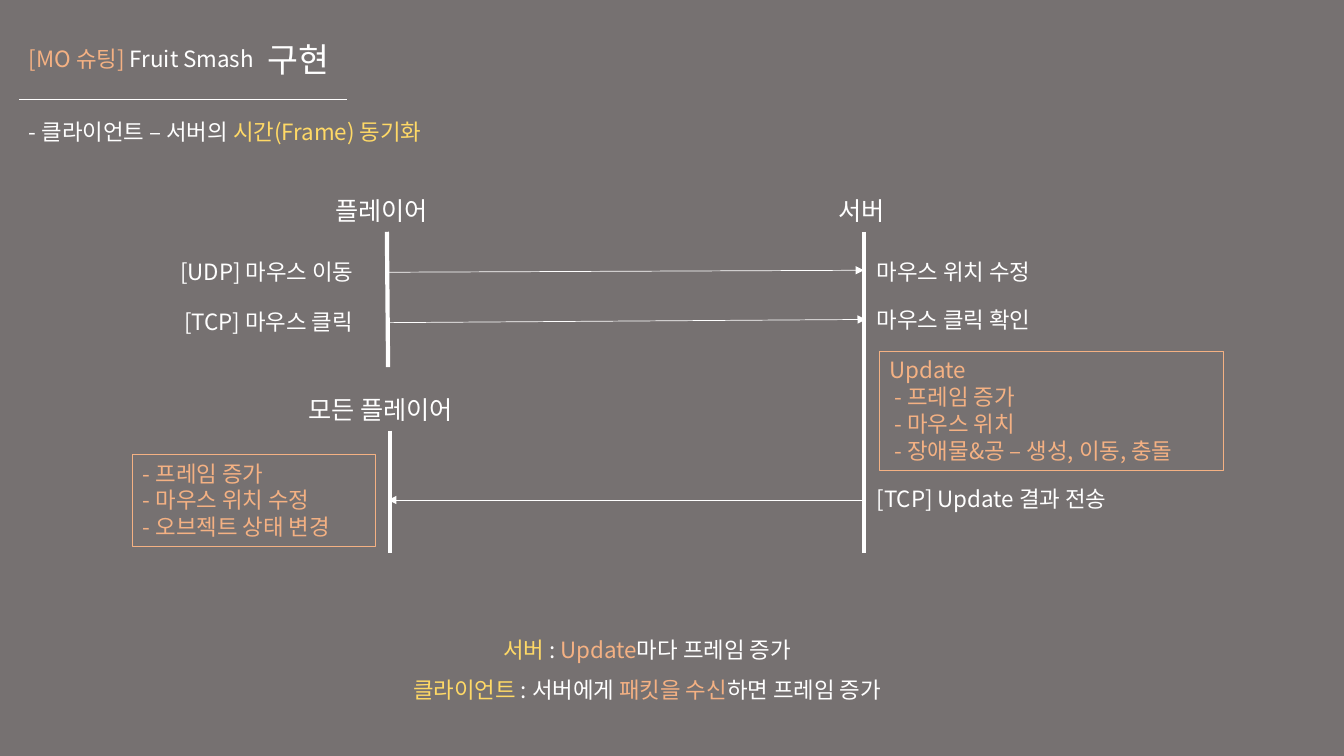
from lxml.etree import SubElement
from pptx import Presentation
from pptx.dml.color import RGBColor
from pptx.enum.shapes import MSO_CONNECTOR, MSO_SHAPE
from pptx.enum.text import MSO_ANCHOR, MSO_AUTO_SIZE, PP_ALIGN
from pptx.oxml.ns import qn
from pptx.util import Cm, Pt

THEME = {
    "font": "Noto Sans CJK KR",
    "back": "767171", "white": "FFFFFF", "orange": "F4B183", "yellow": "FFD966",
    "body": 16, "head": 18, "title": 24,
    "thin": 0.5, "frame": 0.75, "thick": 3,
}

LABEL = {"word_wrap": False, "auto_size": MSO_AUTO_SIZE.SHAPE_TO_FIT_TEXT}
WRAPPED = {"word_wrap": True, "auto_size": MSO_AUTO_SIZE.SHAPE_TO_FIT_TEXT}
CENTRED = {"word_wrap": True, "vertical_anchor": MSO_ANCHOR.MIDDLE}
LEFT = {"alignment": PP_ALIGN.LEFT}

HEADER = [
    ((0.48, 1.02, 7.57, 0.94), "body", WRAPPED, LEFT,
     [[("[MO 슈팅] ", "orange"), ("Fruit Smash", "white")]]),
    ((6.5, 0.43, 4.62, 2.26), "title", CENTRED, {"line_spacing": 0.9},
     [[("구현", "white")]]),
    ((0.48, 2.51, 12.09, 1.14), "body", WRAPPED, {"line_spacing": 1.5},
     [[("- 클라이언트 – 서버의 ", "white"), ("시간(Frame) 동기화", "yellow")]]),
]
SUMMARY = [
    ((4.42, 15.16, 23.77, 3.1), "body", CENTRED,
     {"alignment": PP_ALIGN.CENTER, "line_spacing": 1.5},
     [[("서버 ", "yellow"), (": ", "white"), ("Update", "orange"),
       ("마다 프레임 증가", "white")],
      [("클라이언트 ", "yellow"), (": 서버에게 ", "white"),
       ("패킷을 수신", "orange"), ("하면 프레임 증가", "white")]]),
]
ACTORS = [
    ("플레이어", 8.2, 4.8, 3.07),
    ("서버", 20.88, 4.8, 1.8),
    ("모든 플레이어", 7.52, 9.8, 4.6),
]
MESSAGES = [
    ("[UDP] 마우스 이동", 4.29, 6.38, 5.26),
    ("마우스 위치 수정", 21.84, 6.38, 4.9),
    ("[TCP] 마우스 클릭", 4.39, 7.65, 5.08),
    ("마우스 클릭 확인", 21.84, 7.59, 4.9),
    ("[TCP] Update 결과 전송", 21.84, 12.09, 6.58),
]
STEPS = [
    ((22.17, 8.86, 8.66, 3.0),
     ["Update", " - 프레임 증가", " - 마우스 위치", " - 장애물&공 – 생성, 이동, 충돌"]),
    ((3.35, 11.46, 6.12, 2.31),
     ["- 프레임 증가", "- 마우스 위치 수정", "- 오브젝트 상태 변경"]),
]
LIFELINES = [
    (9.75, 5.84, 9.78, 9.25),
    (21.77, 5.84, 21.77, 13.94),
    (9.83, 10.85, 9.83, 13.94),
]
ARROWS = [
    (9.75, 6.86, 21.77, 6.81),
    (9.8, 8.13, 21.82, 8.05),
    (21.82, 12.6, 9.78, 12.6),
]
TITLE_RULE = (8.74, 2.51, 0.48, 2.51)


def color(name):
    return RGBColor.from_string(THEME[name])


def apply(target, values):
    for name, value in values.items():
        setattr(target, name, value)


def write(sp, size, frame, para, paragraphs):
    tf = sp.text_frame
    apply(tf, frame)
    for i, runs in enumerate(paragraphs):
        p = tf.paragraphs[0] if i == 0 else tf.add_paragraph()
        apply(p, para)
        for text, tone in runs:
            r = p.add_run()
            r.text = text
            apply(r.font, {"size": Pt(THEME[size]), "name": THEME["font"]})
            r.font.color.rgb = color(tone)
            SubElement(r.font._element, qn("a:ea"), typeface=THEME["font"])


def add_text(s, box, size, frame, para, paragraphs):
    sp = s.shapes.add_textbox(*map(Cm, box))
    write(sp, size, frame, para, paragraphs)


def add_steps(s, box, lines):
    sp = s.shapes.add_shape(MSO_SHAPE.RECTANGLE, *map(Cm, box))
    sp.shadow.inherit = False
    sp.fill.background()
    sp.line.color.rgb = color("orange")
    sp.line.width = Pt(THEME["frame"])
    frame = LABEL | {"vertical_anchor": MSO_ANCHOR.TOP}
    write(sp, "body", frame, LEFT, [[(line, "orange")] for line in lines])


def add_line(s, ends, weight, arrow=False):
    sp = s.shapes.add_connector(MSO_CONNECTOR.STRAIGHT, *map(Cm, ends))
    sp.line.color.rgb = color("white")
    sp.line.width = Pt(THEME[weight])
    if arrow:
        SubElement(sp.line._get_or_add_ln(), qn("a:tailEnd"), type="triangle")
    SubElement(sp._element.spPr, qn("a:effectLst"))


def main():
    prs = Presentation()
    apply(prs, {"slide_width": Cm(33.87), "slide_height": Cm(19.05)})
    s = prs.slides.add_slide(prs.slide_layouts[6])
    s.background.fill.solid()
    s.background.fill.fore_color.rgb = color("back")

    for item in HEADER + SUMMARY:
        add_text(s, *item)
    for labels, size, height in ((ACTORS, "head", 1.02), (MESSAGES, "body", 0.94)):
        for text, x, y, width in labels:
            add_text(s, (x, y, width, height), size, LABEL, LEFT, [[(text, "white")]])
    for ends in LIFELINES:
        add_line(s, ends, "thick")
    for ends in ARROWS:
        add_line(s, ends, "thin", arrow=True)
    add_line(s, TITLE_RULE, "thin")
    for box, lines in STEPS:
        add_steps(s, box, lines)

    prs.save("out.pptx")


if __name__ == "__main__":
    main()
